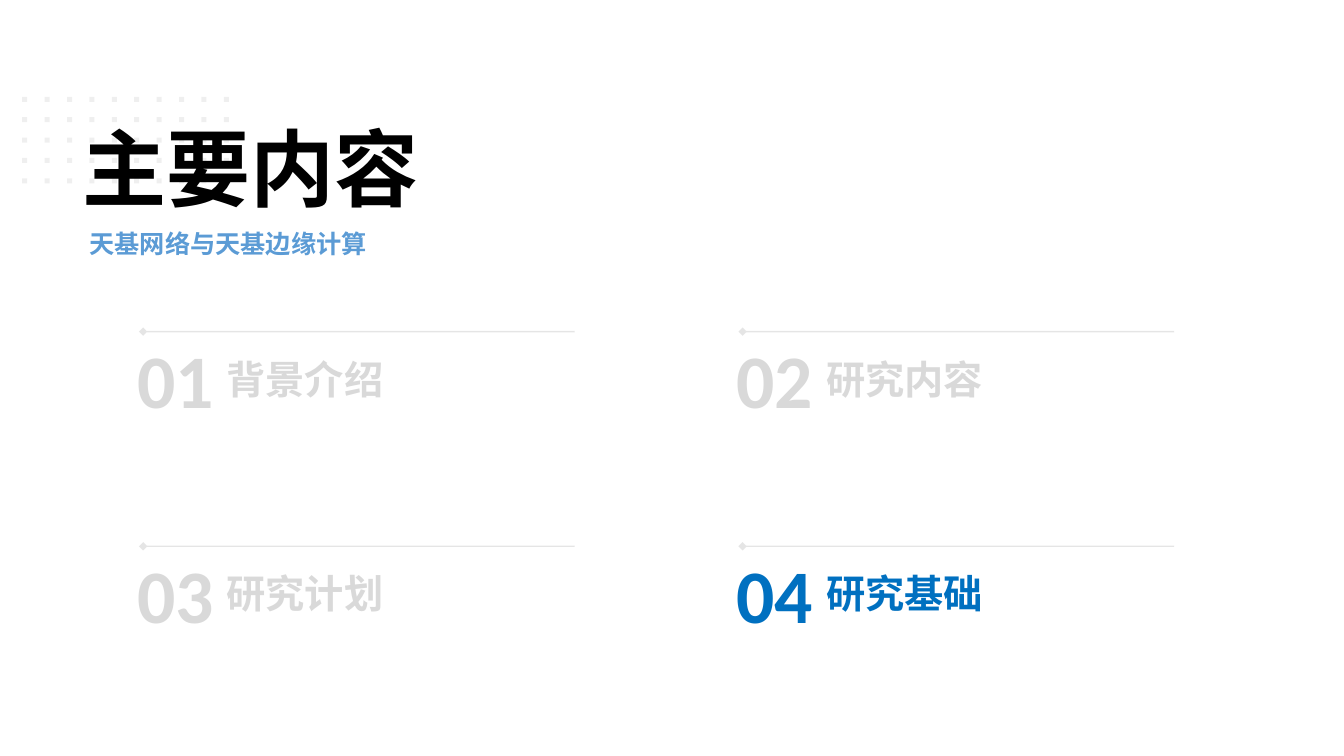
from itertools import product

from lxml import etree
from pptx import Presentation
from pptx import util as u
from pptx.dml.color import RGBColor
from pptx.enum import shapes, text
from pptx.oxml.ns import qn

FONT = "Calibri"
BLACK = RGBColor(0x00, 0x00, 0x00)
GRAY = RGBColor(0x80, 0x80, 0x80)
PALE = RGBColor(0xD9, 0xD9, 0xD9)
SKY = RGBColor(0x5B, 0x9B, 0xD5)
BLUE = RGBColor(0x00, 0x70, 0xC0)

WIDTH, HEIGHT = 13.33, 7.5
DOT_COLS, DOT_ROWS, DOT_SIZE = 10, 5, 0.05
DOT_LEFT, DOT_TOP, DOT_DX, DOT_DY = 0.22, 0.96, 0.2222, 0.2025
CHAPTER_LEFT, CHAPTER_TOP, CHAPTER_DX, CHAPTER_DY = 1.42, 3.29, 5.945, 2.13

CHAPTERS = ["背景介绍", "研究内容", "研究计划", "研究基础"]
CURRENT = 4


def place(sp, left, top, width, height):
    sp.left, sp.top = u.Inches(left), u.Inches(top)
    sp.width, sp.height = u.Inches(width), u.Inches(height)


def write(sp, words, *, size, color, align=text.PP_ALIGN.LEFT,
          anchor=text.MSO_ANCHOR.TOP):
    tf = sp.text_frame
    tf.word_wrap = True
    tf.auto_size = text.MSO_AUTO_SIZE.SHAPE_TO_FIT_TEXT
    tf.vertical_anchor = anchor
    p = tf.paragraphs[0]
    p.alignment = align
    r = p.add_run()
    r.text = words
    r.font.name, r.font.size, r.font.bold = FONT, u.Pt(size), True
    r.font.color.rgb = color


def add_text(s, box, words, **style):
    sp = s.shapes.add_textbox(*map(u.Inches, box))
    write(sp, words, **style)


def set_alpha(fill, percent):
    """Make a solid fill show at the given opacity."""
    color = next(fill._xPr.iter(qn("a:srgbClr")))
    etree.SubElement(color, qn("a:alpha")).set("val", str(percent * 1000))


def add_dots(s):
    group = s.shapes.add_group_shape()
    for col, row in product(range(DOT_COLS), range(DOT_ROWS)):
        box = (DOT_LEFT + col * DOT_DX, DOT_TOP + row * DOT_DY, DOT_SIZE, DOT_SIZE)
        dot = group.shapes.add_shape(shapes.MSO_SHAPE.RECTANGLE, *map(u.Inches, box))
        dot.shadow.inherit = False
        dot.fill.solid()
        dot.fill.fore_color.rgb = GRAY
        set_alpha(dot.fill, 12)
        dot.line.fill.background()
    return group


def add_rule(s, left, top, length):
    """Draw a faint horizontal line that starts with a diamond."""
    rule = s.shapes.add_connector(shapes.MSO_CONNECTOR.STRAIGHT, u.Inches(left),
                                  u.Inches(top), u.Inches(left + length), u.Inches(top))
    rule.line.width = u.Pt(1)
    rule.line.color.rgb = GRAY
    set_alpha(rule.line.fill, 20)
    ln = rule.line._get_or_add_ln()
    etree.SubElement(ln, qn("a:headEnd")).set("type", "diamond")
    etree.SubElement(rule._element.spPr, qn("a:effectLst"))


def add_chapter(s, number, name):
    row, col = divmod(number - 1, 2)
    left = CHAPTER_LEFT + col * CHAPTER_DX
    top = CHAPTER_TOP + row * CHAPTER_DY
    color = BLUE if number == CURRENT else PALE
    middle = text.MSO_ANCHOR.MIDDLE
    add_text(s, (left - 0.21, top - 0.04, 1.06, 1.01), f"{number:02}", size=54,
             color=color, align=text.PP_ALIGN.CENTER, anchor=middle)
    add_text(s, (left + 0.73, top + 0.18, 3.82, 0.57), name, size=28,
             color=color, anchor=middle)
    add_rule(s, left, top, 4.28)


def main():
    prs = Presentation()
    prs.slide_width, prs.slide_height = u.Inches(WIDTH), u.Inches(HEIGHT)
    s = prs.slides.add_slide(prs.slide_layouts.get_by_name("Title Only"))
    title = s.shapes.title
    place(title, 0.72, 1.11, 5.63, 1.11)
    write(title, "主要内容", size=60, color=BLACK)
    dots = add_dots(s)
    title._element.addprevious(dots._element)
    add_text(s, (0.79, 2.22, 5.56, 0.4), "天基网络与天基边缘计算", size=18, color=SKY)
    for number, name in enumerate(CHAPTERS, 1):
        add_chapter(s, number, name)
    prs.save("out.pptx")


if __name__ == "__main__":
    main()
